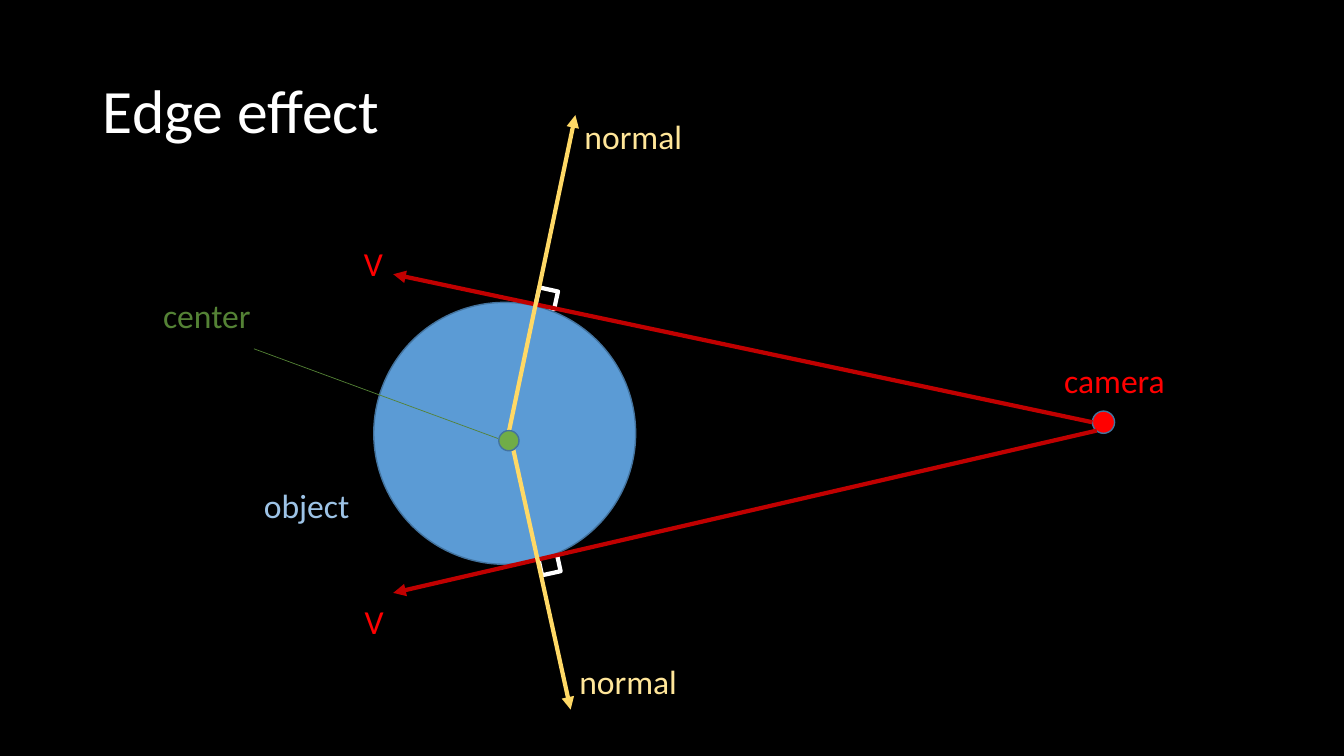
from lxml import etree
from pptx import Presentation
from pptx.dml.color import RGBColor
from pptx.enum.shapes import MSO_CONNECTOR, MSO_SHAPE
from pptx.enum.text import MSO_ANCHOR, PP_ALIGN
from pptx.oxml.ns import qn
from pptx.util import Cm, Pt

LINE = MSO_CONNECTOR.STRAIGHT
OVAL = MSO_SHAPE.OVAL
RECT = MSO_SHAPE.RECTANGLE
MIDDLE = MSO_ANCHOR.MIDDLE
LEFT = PP_ALIGN.LEFT


def paint(form, color):
    form.solid()
    form.fore_color.rgb = RGBColor.from_string(color)


def write(frame, text, size, color):
    frame.text = text
    frame.word_wrap = True
    para = frame.paragraphs[0]
    para.alignment = LEFT
    para.line_spacing = 0.9
    para.space_before = Pt(0)
    font = para.runs[0].font
    font.name = "Calibri"
    font.size = Pt(size)
    paint(font.fill, color)


deck = Presentation()
deck.slide_width = Cm(33.87)
deck.slide_height = Cm(19.05)
slide = deck.slides.add_slide(deck.slide_layouts[5])
paint(slide.background.fill, "000000")
shapes = slide.shapes

title = shapes.title
title.left, title.top = Cm(2.34), Cm(1.02)
title.width, title.height = Cm(29.21), Cm(3.68)
title.text_frame.vertical_anchor = MIDDLE
write(title.text_frame, "Edge effect", 44, "FFFFFF")

corners = [(13.54, 7.29, 0.46, 12.4), (13.61, 14.02, 0.43, -12.4)]
for x, y, high, turn in corners:
    mark = shapes.add_shape(RECT, Cm(x), Cm(y), Cm(0.48), Cm(high))
    mark.rotation = turn
    mark.shadow.inherit = False
    mark.fill.background()
    paint(mark.line.fill, "FFFFFF")
    mark.line.width = Pt(3)

object_disc = (OVAL, 9.42, 7.62, 6.6, "5B9BD5")
camera_dot = (OVAL, 27.53, 10.36, 0.56, "FF0000")
center_dot = (OVAL, 12.57, 10.85, 0.51, "70AD47")
views = [
    (LINE, 27.53, 10.64, 9.91, 6.91, "C00000", 3),
    (LINE, 27.64, 10.85, 9.91, 14.94, "C00000", 3),
]
normals = [
    (LINE, 12.83, 10.85, 14.5, 2.9, "FFD966", 3),
    (LINE, 12.83, 10.85, 14.38, 17.88, "FFD966", 3),
]
leader = (LINE, 12.55, 11.05, 6.4, 8.79, "548235", 0.5)

for part in [object_disc, camera_dot, *views, *normals, center_dot, leader]:
    if part[0] == OVAL:
        kind, x, y, size, color = part
        disc = shapes.add_shape(kind, Cm(x), Cm(y), Cm(size), Cm(size))
        disc.shadow.inherit = False
        paint(disc.fill, color)
        paint(disc.line.fill, "43739E")
        disc.line.width = Pt(1)
    else:
        kind, x, y, end_x, end_y, color, width = part
        ray = shapes.add_connector(kind, Cm(x), Cm(y), Cm(end_x), Cm(end_y))
        paint(ray.line.fill, color)
        ray.line.width = Pt(width)
        if part != leader:
            tip = etree.SubElement(ray.line._get_or_add_ln(), qn("a:tailEnd"))
            tip.set("type", "triangle")
        etree.SubElement(ray._element.spPr, qn("a:effectLst"))

labels = [
    ("camera", 26.57, 9.07, 3.5, "FF0000"),
    ("object", 6.4, 12.22, 3.5, "9DC3E6"),
    ("center", 3.86, 7.42, 3.5, "548235"),
    ("V", 8.92, 6.12, 1.1, "FF0000"),
    ("V", 8.94, 15.14, 1.1, "FF0000"),
    ("normal", 14.48, 2.9, 3.5, "FFE699"),
    ("normal", 14.35, 16.64, 3.5, "FFE699"),
]
for text, x, y, wide, color in labels:
    label = shapes.add_textbox(Cm(x), Cm(y), Cm(wide), Cm(1.3))
    write(label.text_frame, text, 24, color)

deck.save("out.pptx")
